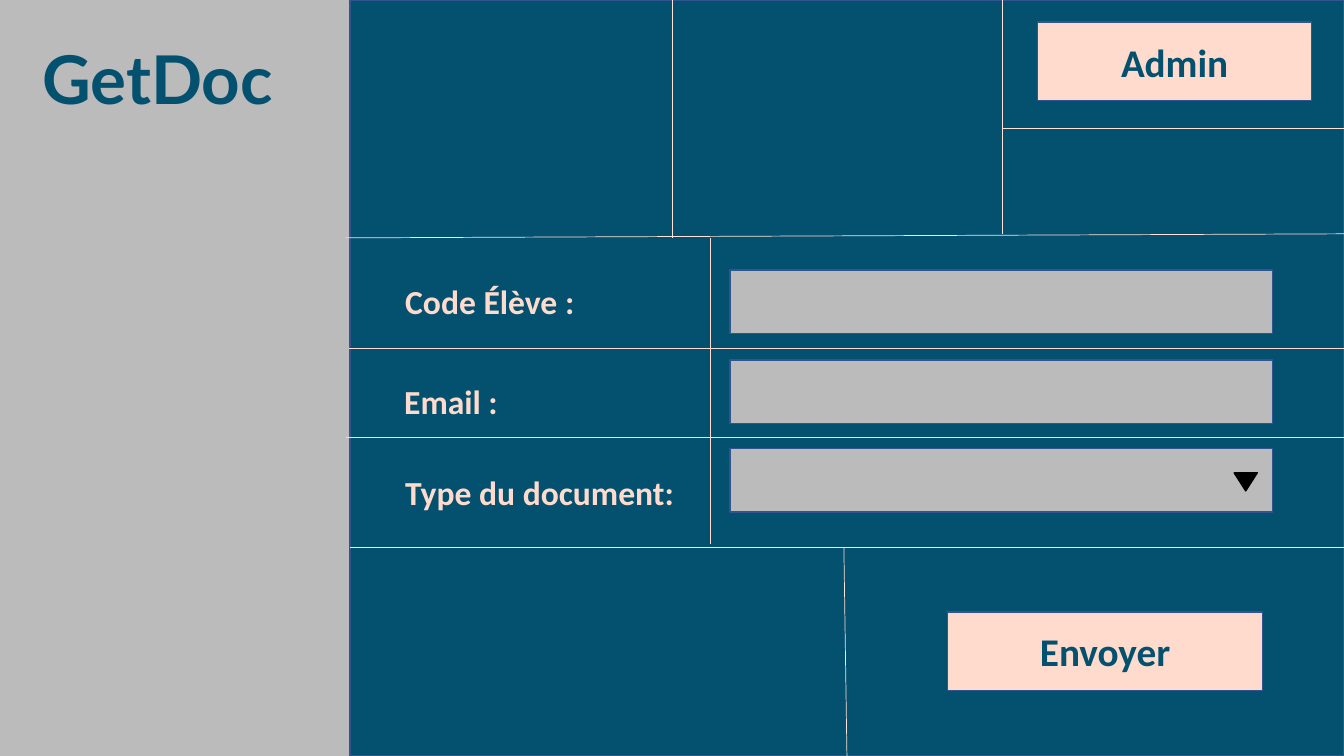
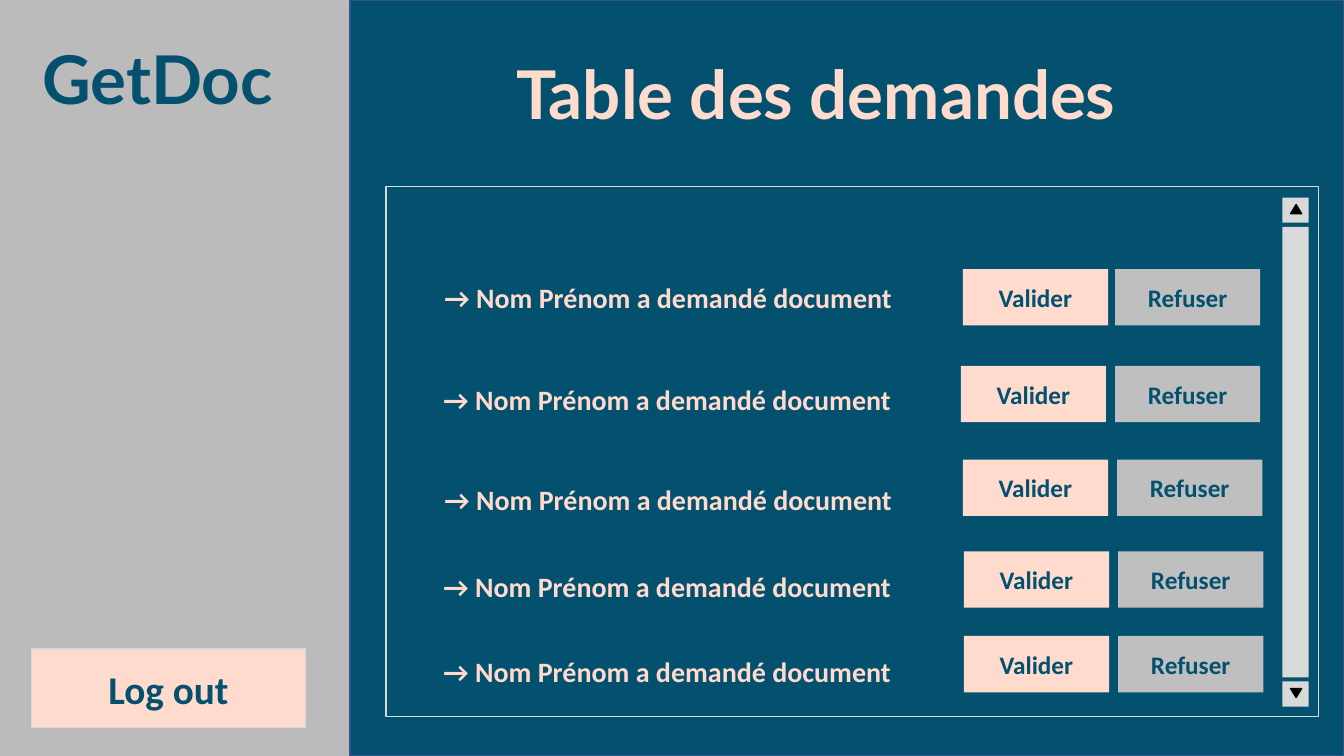
"""Build the two GetDoc screen mock-ups: request form and request table."""
from dataclasses import dataclass
from typing import NamedTuple, Optional

from lxml import etree
from pptx import Presentation
from pptx import util as u
from pptx.dml.color import RGBColor
from pptx.enum import shapes, text
from pptx.oxml.ns import qn

WIDE, HIGH = 13.33, 7.5
TEAL, PEACH, BLUSH = "03506F", "FFDBCD", "FFE3D8"
GREY, SILVER, PALE = "BBBBBB", "BFBFBF", "D9D9D9"
NAVY, BLACK = "325491", "000000"
RECT = shapes.MSO_SHAPE.RECTANGLE
WEDGE = shapes.MSO_SHAPE.ISOSCELES_TRIANGLE


class Area(NamedTuple):
    left: float
    top: float
    width: float
    height: float


@dataclass(frozen=True)
class Box:
    area: Area
    fill: str
    line: Optional[str] = None
    label: str = ""
    size: int = 28
    kind: int = RECT
    turn: int = 0


@dataclass(frozen=True)
class Note:
    area: Area
    words: str
    size: int
    color: str = PEACH
    face: str = "Calibri"


@dataclass(frozen=True)
class Rule:
    start: tuple[float, float]
    end: tuple[float, float]
    color: str = BLUSH


class Row(NamedTuple):
    left: float
    note: float
    top: float
    accept: float
    refuse: float


def paint(target, color: str) -> None:
    """Give a fill or line one solid colour."""
    target.solid()
    target.fore_color.rgb = RGBColor.from_string(color)


def style(para, size: int, color: str, face: str) -> None:
    """Set the bold font of a paragraph."""
    font = para.font
    font.name, font.size, font.bold = face, u.Pt(size), True
    paint(font.fill, color)


def place(area: Area) -> list[u.Inches]:
    """Turn an area into lengths."""
    return [u.Inches(part) for part in area]


def add_box(slide, box: Box) -> None:
    """Draw a filled shape with an optional outline and label."""
    shape = slide.shapes.add_shape(box.kind, *place(box.area))
    shape.shadow.inherit = False
    shape.rotation = box.turn
    paint(shape.fill, box.fill)
    if box.line:
        paint(shape.line.fill, box.line)
        shape.line.width = u.Pt(1)
    else:
        shape.line.fill.background()
    if box.label:
        frame = shape.text_frame
        frame.vertical_anchor = text.MSO_ANCHOR.MIDDLE
        para = frame.paragraphs[0]
        para.text = box.label
        para.alignment = text.PP_ALIGN.CENTER
        style(para, box.size, TEAL, "Calibri")


def add_note(slide, note: Note) -> None:
    """Write one line of text."""
    frame = slide.shapes.add_textbox(*place(note.area)).text_frame
    frame.word_wrap = True
    para = frame.paragraphs[0]
    para.text = note.words
    style(para, note.size, note.color, note.face)


def add_rule(slide, rule: Rule) -> None:
    """Draw a thin straight line."""
    ends = [u.Inches(part) for part in (*rule.start, *rule.end)]
    line = slide.shapes.add_connector(shapes.MSO_CONNECTOR.STRAIGHT, *ends)
    paint(line.line.fill, rule.color)
    line.line.width = u.Pt(0.5)
    etree.SubElement(line._element.spPr, qn("a:effectLst"))


def add_page(deck):
    """Add a slide with the shared side band, name and main panel."""
    slide = deck.slides.add_slide(deck.slide_layouts[6])
    paint(slide.background.fill, GREY)
    add_note(slide, Note(Area(0.32, 0.32, 2.82, 0.91), "GetDoc", 48, TEAL, "Lato"))
    add_box(slide, Box(Area(3.47, 0, 9.86, HIGH), TEAL, NAVY))
    return slide


def draw_form(deck) -> None:
    """Draw the request form."""
    slide = add_page(deck)
    for top in (2.68, 3.57, 4.45):
        add_box(slide, Box(Area(7.24, top, 5.38, 0.63), GREY, NAVY))
    add_box(slide, Box(Area(9.4, 6.07, 3.12, 0.78), PEACH, NAVY, "Envoyer"))
    add_box(slide, Box(Area(10.29, 0.22, 2.72, 0.78), PEACH, NAVY, "Admin"))
    add_box(slide, Box(Area(12.24, 4.69, 0.23, 0.18), BLACK, BLACK, kind=WEDGE, turn=180))
    rules = (
        Rule((6.67, 0), (6.67, 2.36)),
        Rule((9.94, 0), (9.94, 2.32)),
        Rule((3.42, 2.36), (WIDE, 2.32)),
        Rule((9.94, 1.27), (WIDE, 1.27)),
        Rule((3.47, 5.43), (WIDE, 5.43)),
        Rule((8.4, HIGH), (8.37, 5.43)),
        Rule((7.05, 2.36), (7.05, 5.4), PEACH),
        Rule((3.46, 3.46), (WIDE, 3.46), PEACH),
        Rule((3.43, 4.34), (WIDE, 4.34), PEACH),
    )
    for rule in rules:
        add_rule(slide, rule)
    fields = (
        (3.92, 2.74, "Code Élève :"),
        (3.91, 3.73, "Email :"),
        (3.92, 4.63, "Type du document:"),
    )
    for left, top, words in fields:
        add_note(slide, Note(Area(left, top, 3.01, 0.5), words, 24))


def draw_table(deck) -> None:
    """Draw the scrolling table of requests."""
    slide = add_page(deck)
    title = Area(5.02, 0.47, 6.87, 0.91)
    add_note(slide, Note(title, "Table des demandes", 48, face="Lato"))
    add_box(slide, Box(Area(3.83, 1.85, 9.25, 5.26), TEAL, PALE))
    add_box(slide, Box(Area(12.72, 2.25, 0.26, 4.47), PALE))
    for top, turn in ((1.96, 0), (6.76, 180)):
        add_box(slide, Box(Area(12.72, top, 0.26, 0.25), PALE))
        tip = Area(12.8, top + 0.07, 0.11, 0.09)
        add_box(slide, Box(tip, BLACK, BLACK, kind=WEDGE, turn=turn))
    rows = (
        Row(4.31, 2.73, 2.67, 9.55, 11.06),
        Row(4.3, 3.75, 3.63, 9.53, 11.06),
        Row(4.31, 4.74, 4.56, 9.55, 11.08),
        Row(4.3, 5.6, 5.47, 9.56, 11.09),
        Row(4.3, 6.44, 6.31, 9.56, 11.09),
    )
    for row in rows:
        area = Area(row.left, row.note, 4.8, 0.44)
        add_note(slide, Note(area, "→ Nom Prénom a demandé document", 20))
        keys = ((row.accept, PEACH, "Valider"), (row.refuse, SILVER, "Refuser"))
        for left, fill, label in keys:
            area = Area(left, row.top, 1.44, 0.56)
            add_box(slide, Box(area, fill, label=label, size=18))
    add_box(slide, Box(Area(0.31, 6.44, 2.72, 0.78), PEACH, PALE, "Log out"))


def main() -> None:
    """Build and save the deck."""
    deck = Presentation()
    deck.slide_width, deck.slide_height = u.Inches(WIDE), u.Inches(HIGH)
    draw_form(deck)
    draw_table(deck)
    deck.save("out.pptx")


if __name__ == "__main__":
    main()
